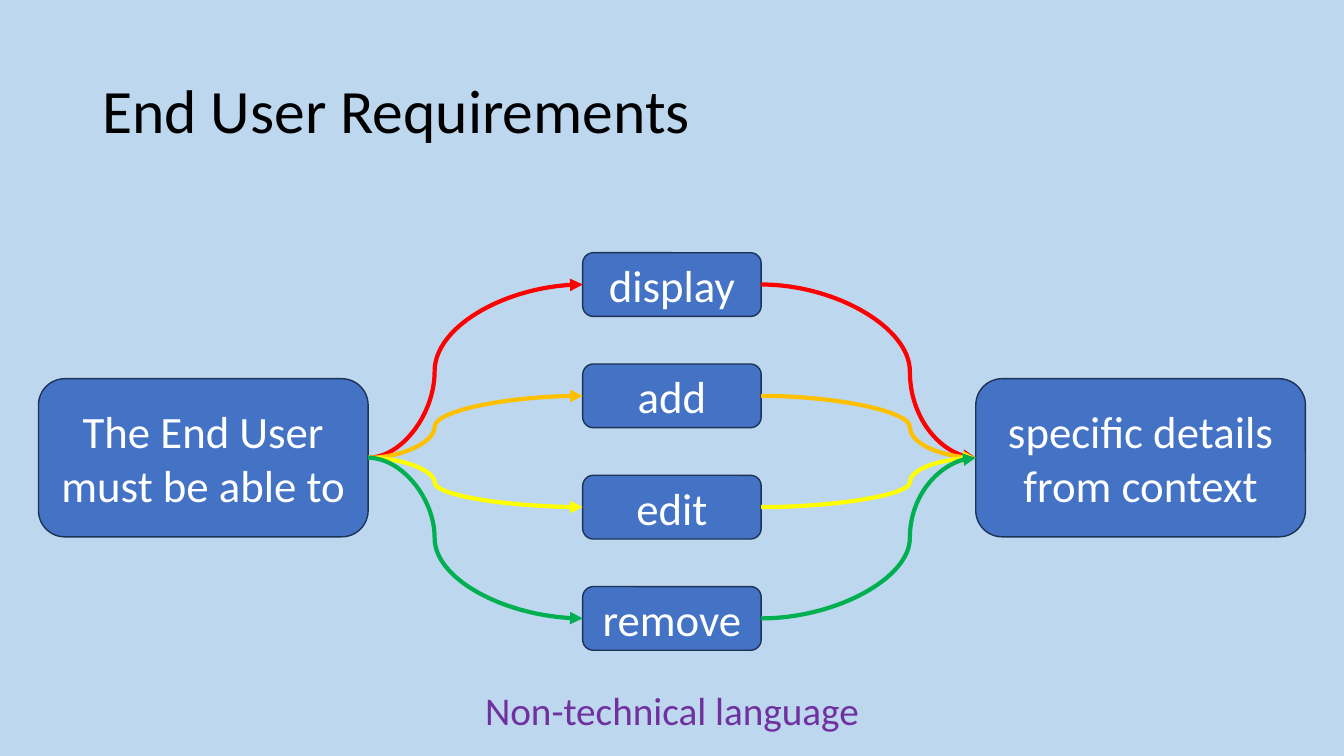
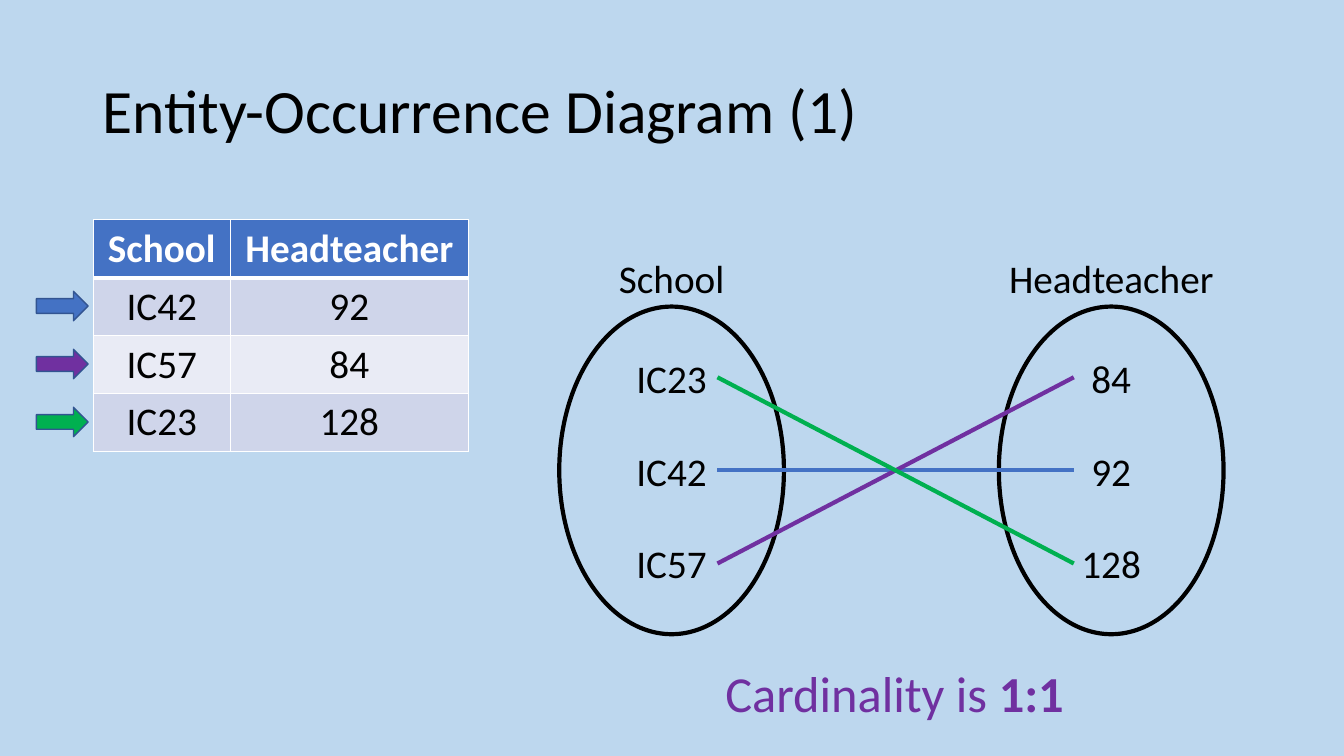
from lxml.etree import SubElement as Sub
from pptx import Presentation
from pptx.dml.color import RGBColor as Rgb
from pptx.enum.shapes import MSO_CONNECTOR as Wire, MSO_SHAPE as Kind
from pptx.enum.text import MSO_ANCHOR as Anchor, PP_ALIGN as Align
from pptx.oxml.ns import qn
from pptx.util import Pt

HUES = dict(
    back="BDD7EE", ink="000000", white="FFFFFF", blue="4472C4",
    edge="1E3256", rim="325491", red="FF0000", gold="FFC000",
    yellow="FFFF00", green="00B050", purple="7030A0",
    odd="CFD5EA", even="E9EBF5",
)
FONT = "Calibri"
VERBS = [("display", "red"), ("add", "gold"), ("edit", "yellow"), ("remove", "green")]
HEADS = ("School", "Headteacher")
ROWS = [("IC42", "92", "blue"), ("IC57", "84", "purple"), ("IC23", "128", "green")]
SETS = [("IC23", "IC42", "IC57"), ("84", "92", "128")]
ROW = 41.4


def hue(name):
    """Return the named colour."""
    return Rgb.from_string(HUES[name])


def paint(fill, name):
    """Give a fill one solid colour."""
    fill.solid()
    fill.fore_color.rgb = hue(name)


def write(frame, text, size=28, color="ink", bold=False, tail="", align=Align.CENTER,
          anchor=Anchor.MIDDLE, wrap=True, lead=None, gap=0):
    """Fill a text frame, one paragraph a line, with an optional bold tail."""
    frame.word_wrap = wrap
    frame.vertical_anchor = anchor
    for num, line in enumerate(text.split("\n")):
        para = frame.add_paragraph() if num else frame.paragraphs[0]
        para.alignment = align
        if lead:
            para.line_spacing = lead
        if num and gap:
            para.space_before = Pt(gap)
        for part, heavy in ((line, bold), (tail, True)):
            if part:
                run = para.add_run()
                run.text = part
                font = run.font
                font.name, font.size, font.bold = FONT, Pt(size), heavy
                font.color.rgb = hue(color)


def label(slide, box, text, **form):
    """Add a text box."""
    frame = slide.shapes.add_textbox(*map(Pt, box)).text_frame
    write(frame, text, **form)


def block(slide, kind, box, fill=None, edge="edge", wide=1):
    """Add a preset shape, filled or open."""
    shape = slide.shapes.add_shape(kind, *map(Pt, box))
    shape.shadow.inherit = False
    if fill:
        paint(shape.fill, fill)
    else:
        shape.fill.background()
    shape.line.color.rgb = hue(edge)
    shape.line.width = Pt(wide)
    return shape


def button(slide, box, text):
    """Add a blue rounded box with white text."""
    shape = block(slide, Kind.ROUNDED_RECTANGLE, box, "blue")
    write(shape.text_frame, text, size=32, color="white")
    return shape


def wire(slide, kind, ends, color):
    """Add a thick line without a shadow."""
    line = slide.shapes.add_connector(kind, *map(Pt, ends))
    line.line.color.rgb = hue(color)
    line.line.width = Pt(3)
    Sub(line._element.spPr, qn("a:effectLst"))
    return line


def curve(slide, start, end, color, bend):
    """Join the right side of one shape to the left of another by a curved arrow."""
    line = wire(slide, Wire.CURVE, (0, 0, 0, 0), color)
    line.begin_connect(start, 3)
    line.end_connect(end, 1)
    Sub(line.line._get_or_add_ln(), qn("a:tailEnd"), type="triangle")
    geom = line._element.spPr.find(qn("a:prstGeom"))
    marks = geom.find(qn("a:avLst"))
    if marks is None:
        marks = Sub(geom, qn("a:avLst"))
    Sub(marks, qn("a:gd"), name="adj1", fmla=f"val {bend}")


def flow(slide, box):
    """Draw the user, the verbs and the details, joined by arrows."""
    left, top, width, height = box
    wide, tall, small, low, step = 235.5, 113, 127.5, 45.5, 79.5
    side = top + 90
    user = button(slide, (left, side, wide, tall), "The End User must be able to")
    goal = button(slide, (left + width - wide, side, wide, tall),
                  "specific details from context")
    for num, (verb, color) in enumerate(VERBS):
        spot = (left + (width - small) / 2, top + num * step, small, low)
        node = button(slide, spot, verb)
        curve(slide, user, node, color, 31000)
        curve(slide, node, goal, color, 69300)
    label(slide, (left, top + height - 41, width, 41), "Non-technical language",
          color="purple", anchor=Anchor.TOP)


def border(cell, **sides):
    """Draw white borders of the given widths on a cell."""
    props = cell._tc.get_or_add_tcPr()
    for side in "LRTB":
        line = Sub(props, qn(f"a:ln{side}"), w=str(Pt(sides.get(side, 1))))
        fill = Sub(line, qn("a:solidFill"))
        Sub(fill, qn("a:srgbClr"), val=HUES["white"])


def grid(slide, box):
    """Draw the table of schools with a coloured arrow at each record."""
    left, top, width, height = box
    data = [HEADS] + [row[:2] for row in ROWS]
    table = slide.shapes.add_table(len(data), 2, *map(Pt, box)).table
    for col, wide in zip(table.columns, (98, width - 98)):
        col.width = Pt(wide)
    for num, row in enumerate(data):
        table.rows[num].height = Pt(ROW)
        head = num == 0
        for cell, text in zip(table.rows[num].cells, row):
            border(cell, B=3 if head else 1, T=3 if num == 1 else 1)
            paint(cell.fill, "blue" if head else "odd" if num % 2 else "even")
            cell.vertical_anchor = Anchor.MIDDLE
            write(cell.text_frame, text, color="white" if head else "ink", bold=head)
    for num, (_, _, color) in enumerate(ROWS, 1):
        spot = (left - 40.5, top + (num + 0.5) * ROW - 11, 37, 21)
        block(slide, Kind.RIGHT_ARROW, spot, color, "rim")


def links(slide, box):
    """Draw the two sets and the lines that pair their members."""
    left, top, width, height = box
    wide, tall, step = 160.5, 234, 66.5
    for num, (head, items) in enumerate(zip(HEADS, SETS)):
        edge = left + num * (width - wide)
        oval = block(slide, Kind.OVAL, (edge, top + 41, wide, tall), None, "ink", 3)
        write(oval.text_frame, "\n".join(items), gap=32.5)
        label(slide, (edge, top, wide, 41), head, wrap=False, anchor=Anchor.TOP)
    mid = top + 41 + tall / 2
    for *pair, color in ROWS:
        start, end = (mid + (items.index(item) - 1) * step
                      for items, item in zip(SETS, pair))
        wire(slide, Wire.STRAIGHT, (left + 113, start, left + 367.5, end), color)
    label(slide, (left + 111.5, top + height - 51, 258.5, 51), "Cardinality is ",
          tail="1:1", size=36, color="purple", align=Align.LEFT,
          anchor=Anchor.TOP, wrap=False)


def page(deck, title):
    """Add a blank slide with its title."""
    slide = deck.slides.add_slide(deck.slide_layouts[6])
    label(slide, (66, 29, 828, 104), title, size=44, align=Align.LEFT, lead=0.9)
    return slide


def main():
    """Build and save the deck."""
    deck = Presentation()
    deck.slide_width, deck.slide_height = Pt(960), Pt(540)
    paint(deck.slide_master.background.fill, "back")
    flow(page(deck, "End User Requirements"), (27.5, 180.5, 905, 347))
    slide = page(deck, "Entity-Occurrence Diagram (1)")
    grid(slide, (66.5, 157, 268, 4 * ROW))
    links(slide, (399.5, 178, 474.5, 342.5))
    deck.save("out.pptx")


if __name__ == "__main__":
    main()
